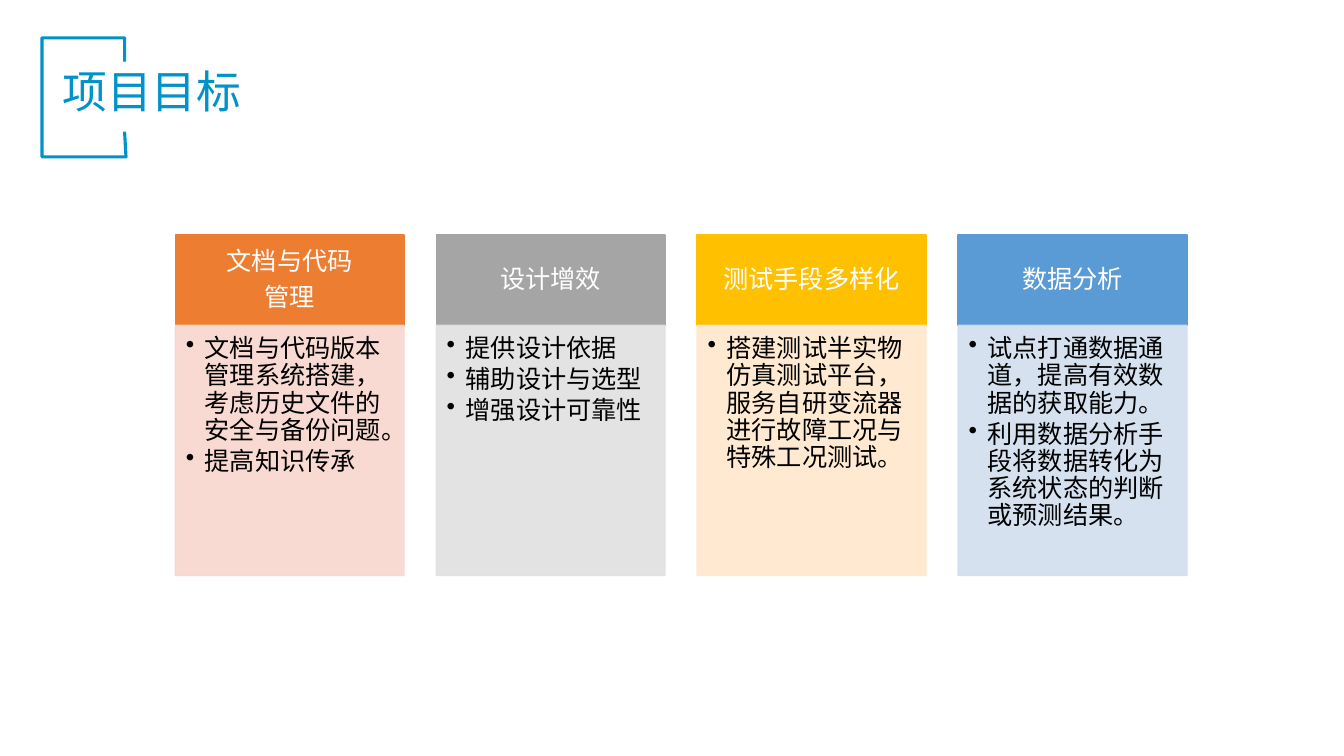
from lxml.etree import SubElement
from pptx import Presentation
from pptx.dml.color import RGBColor
from pptx.enum.shapes import MSO_SHAPE
from pptx.enum.text import MSO_ANCHOR, PP_ALIGN
from pptx.oxml.ns import qn
from pptx.util import Pt

FONT = "Noto Sans CJK SC"
BLUE, WHITE, BLACK = "0093CA", "FFFFFF", "000000"
TITLE = "项目目标"
GOALS = [
    (["文档与代码", "管理"], "ED7D31", "F8D7CE",
     ["文档与代码版本管理系统搭建，考虑历史文件的安全与备份问题。", "提高知识传承"]),
    (["设计增效"], "A5A5A5", "E1E1E1",
     ["提供设计依据", "辅助设计与选型", "增强设计可靠性"]),
    (["测试手段多样化"], "FFC000", "FFE8CC",
     ["搭建测试半实物仿真测试平台，服务自研变流器进行故障工况与特殊工况测试。"]),
    (["数据分析"], "5B9BD5", "D2DEEF",
     ["试点打通数据通道，提高有效数据的获取能力。",
      "利用数据分析手段将数据转化为系统状态的判断或预测结果。"]),
]
BRACKET = [(89.3, 94.3), (90, 111.6), (29.5, 111.6), (29.5, 26.6), (89.3, 27.4), (89.3, 43.9)]

LEFT, TOP = 125.2, 167.9
COLUMN_WIDTH, COLUMN_STEP = 163.4, 186.4
HEADER_HEIGHT, BODY_HEIGHT = 64.5, 178.6
BULLET_INDENT = 13.5
BODY_OPACITY = 90


def rgb(colour):
    return RGBColor.from_string(colour)


def set_opacity(fill_parent, percent):
    """Make the solid fill found under an element partly transparent."""
    colour = fill_parent.find(qn("a:solidFill")).find(qn("a:srgbClr"))
    SubElement(colour, qn("a:alpha"), val=str(percent * 1000))


def add_bullet(paragraph):
    properties = paragraph._p.get_or_add_pPr()
    properties.set("marL", str(Pt(BULLET_INDENT)))
    properties.set("indent", str(-Pt(BULLET_INDENT)))
    SubElement(properties, qn("a:buChar"), char="•")


def write(frame, lines, size, colour, insets, align=PP_ALIGN.LEFT,
          anchor=MSO_ANCHOR.TOP, gap=0, bullets=False):
    frame.word_wrap = True
    frame.vertical_anchor = anchor
    (frame.margin_left, frame.margin_top,
     frame.margin_right, frame.margin_bottom) = map(Pt, insets)
    for index, line in enumerate(lines):
        paragraph = frame.add_paragraph() if index else frame.paragraphs[0]
        if bullets:
            add_bullet(paragraph)
        paragraph.alignment = align
        paragraph.line_spacing = 0.9
        paragraph.space_after = Pt(gap)
        run = paragraph.add_run()
        run.text = line
        run.font.size = Pt(size)
        run.font.name = FONT
        run.font.color.rgb = rgb(colour)
        SubElement(run.font._element, qn("a:ea"), typeface=FONT)


def add_panel(slide, left, top, height, colour):
    panel = slide.shapes.add_shape(
        MSO_SHAPE.RECTANGLE, Pt(left), Pt(top), Pt(COLUMN_WIDTH), Pt(height))
    panel.shadow.inherit = False
    panel.fill.solid()
    panel.fill.fore_color.rgb = rgb(colour)
    panel.line.color.rgb = rgb(colour)
    panel.line.width = Pt(1)
    return panel


def add_title(slide):
    builder = slide.shapes.build_freeform(*BRACKET[0], scale=Pt(1))
    builder.add_line_segments(BRACKET[1:], close=False)
    bracket = builder.convert_to_shape()
    bracket.shadow.inherit = False
    bracket.fill.background()
    bracket.line.color.rgb = rgb(BLUE)
    bracket.line.width = Pt(2.25)
    title = slide.shapes.add_textbox(Pt(37.4), Pt(46.1), Pt(702), Pt(46.1))
    write(title.text_frame, [TITLE], 32, BLUE, (7.2, 3.6, 7.2, 3.6))


def add_goal(slide, left, heading, header_colour, body_colour, points):
    header = add_panel(slide, left, TOP, HEADER_HEIGHT, header_colour)
    write(header.text_frame, heading, 18, WHITE, (10, 5.8, 10, 5.8),
          PP_ALIGN.CENTER, MSO_ANCHOR.MIDDLE, gap=6.3)
    body = add_panel(slide, left, TOP + HEADER_HEIGHT, BODY_HEIGHT, body_colour)
    properties = body._element.spPr
    set_opacity(properties, BODY_OPACITY)
    set_opacity(properties.find(qn("a:ln")), BODY_OPACITY)
    write(body.text_frame, points, 18, BLACK, (7.5, 7.5, 10, 11.5), gap=2.7, bullets=True)


def main():
    deck = Presentation()
    deck.slide_width, deck.slide_height = Pt(960), Pt(540)
    slide = deck.slides.add_slide(deck.slide_layouts[6])
    add_title(slide)
    for column, goal in enumerate(GOALS):
        add_goal(slide, LEFT + column * COLUMN_STEP, *goal)
    deck.save("out.pptx")


if __name__ == "__main__":
    main()
